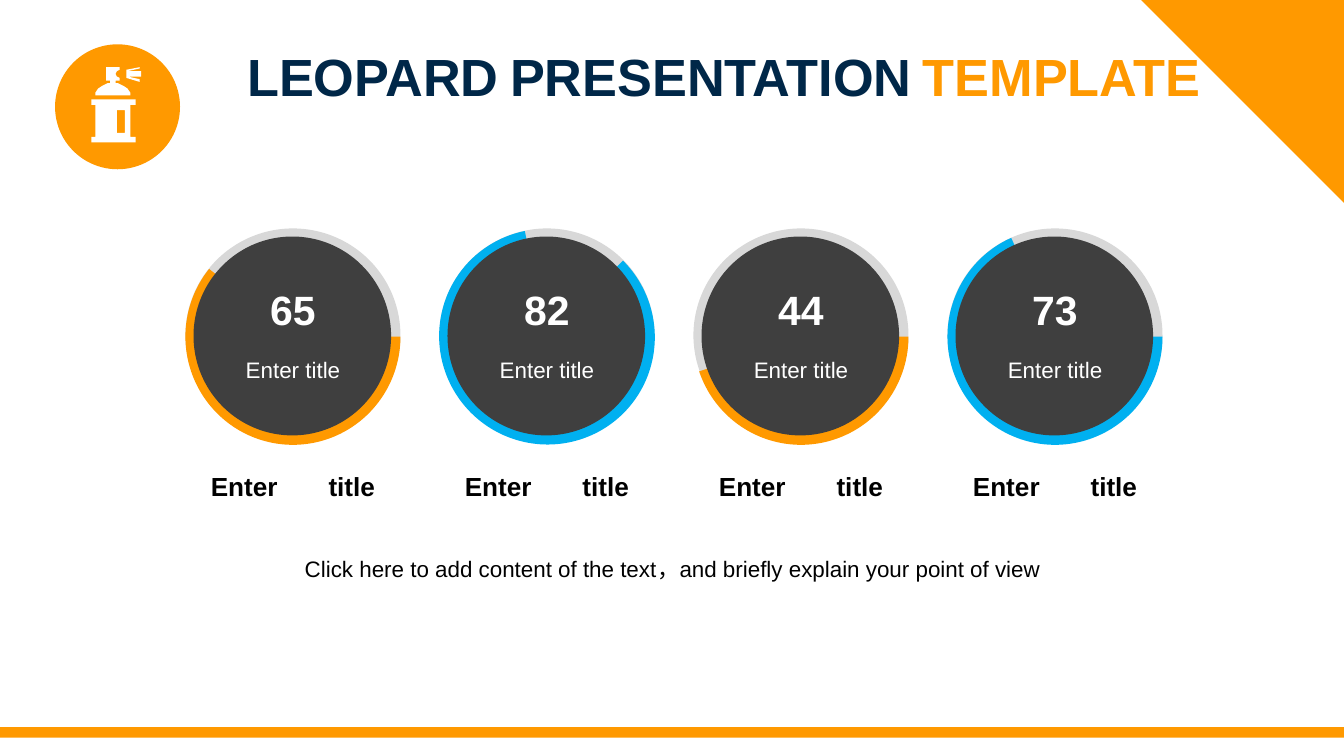
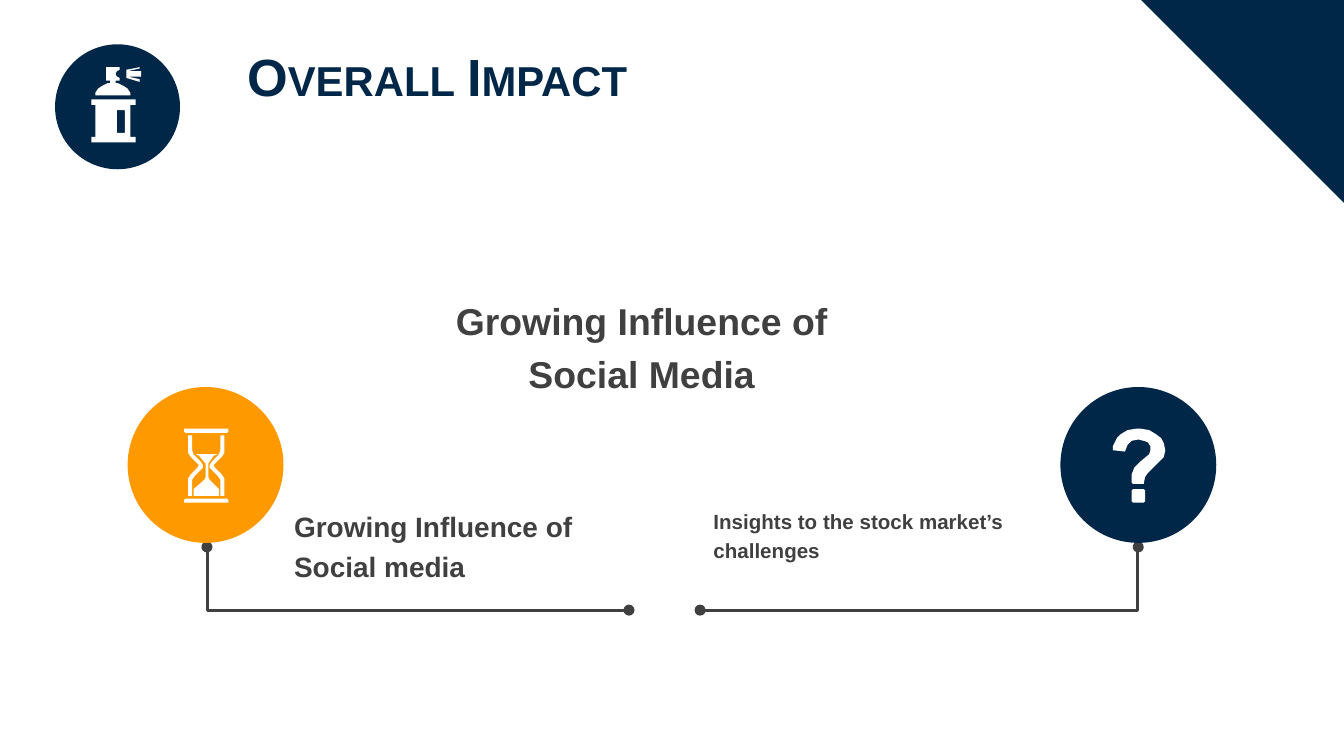
from lxml import etree
from pptx import Presentation
from pptx.dml.color import RGBColor as RGB
from pptx.enum.shapes import MSO_CONNECTOR as Link, MSO_SHAPE as Form
from pptx.enum.text import MSO_ANCHOR as Anchor, MSO_AUTO_SIZE as Auto, PP_ALIGN as Align
from pptx.oxml.ns import qn
from pptx.util import Inches, Pt

FONT = "Arial"
INK = {
    "gold": "FF9900", "navy": "002748", "blue": "00B0F0", "gray": "D8D8D8",
    "dark": "3F3F3F", "text": "404040", "white": "FFFFFF", "black": "000000",
}

# Icon outlines, in hundredths of an inch on the slide
SPRAY = [
    [(97, 78), (97, 102), (101, 102), (101, 106), (68, 106), (68, 102), (71, 102),
     (71, 78), (68, 78), (68, 74), (101, 74), (101, 78)],
    [(93, 82), (87, 82), (87, 99), (93, 99)],
    [(104, 59), (95, 57), (105, 57), (105, 53), (95, 53), (104, 51), (104, 50),
     (94, 52), (94, 58), (104, 61)],
    [(86, 60), (86, 62), (88, 62), (92, 64), (95, 66), (97, 69), (97, 71), (71, 71),
     (71, 69), (73, 66), (76, 64), (80, 62), (82, 62), (82, 60), (79, 60), (79, 50),
     (89, 50), (89, 52), (87, 53), (86, 55), (87, 57), (89, 58), (89, 60)],
]
CAP = [(137, 319), (170, 319), (170, 321), (169, 322), (138, 322), (137, 321)]
TUBE = [(143, 324), (143, 335), (144, 338), (149, 343), (151, 346), (151, 348),
        (145, 354), (143, 357), (143, 369), (140, 369), (140, 356), (142, 353),
        (147, 348), (148, 346), (142, 340), (140, 337), (140, 324)]
SAND = [(144, 369), (163, 369), (163, 364), (156, 357), (155, 355), (155, 345),
        (159, 339), (162, 338), (146, 338), (148, 339), (153, 345), (153, 355),
        (152, 357), (144, 364)]
QUERY = [
    [(851, 360), (843, 360), (842, 359), (842, 353), (844, 348), (849, 343),
     (855, 338), (856, 335), (856, 332), (854, 329), (851, 328), (847, 327),
     (842, 328), (839, 331), (837, 336), (828, 335), (828, 332), (831, 326),
     (834, 323), (839, 320), (845, 319), (849, 319), (855, 320), (860, 323),
     (864, 326), (866, 330), (867, 335), (866, 340), (863, 343), (854, 352),
     (852, 355)],
    [(843, 374), (842, 373), (842, 365), (843, 364), (851, 364), (852, 365),
     (852, 373), (851, 374)],
]


def paint(shape, ink):
    shape.shadow.inherit = False
    shape.fill.solid()
    shape.fill.fore_color.rgb = RGB.from_string(INK[ink])
    shape.line.fill.background()
    return shape


def shape(slide, form, x, y, w, h, ink):
    return paint(slide.shapes.add_shape(
        form, Inches(x), Inches(y), Inches(w), Inches(h)), ink)


def icon(slide, *loops):
    first, *rest = loops
    pen = slide.shapes.build_freeform(*first[0], scale=Inches(0.01))
    pen.add_line_segments(first[1:])
    for loop in rest:
        pen.move_to(*loop[0])
        pen.add_line_segments(loop[1:])
    paint(pen.convert_to_shape(), "white")


def pad(frame, side, top):
    frame.margin_left = frame.margin_right = Inches(side)
    frame.margin_top = frame.margin_bottom = Inches(top)
    frame.word_wrap = True


def style(font, size, ink, bold):
    font.name, font.size, font.bold = FONT, Pt(size), bold
    font.color.rgb = RGB.from_string(INK[ink])


def label(slide, words, x, y, w, h, size, ink, bold=False, align=Align.LEFT,
          space=1.0, side=0.1, top=0.05):
    box = slide.shapes.add_textbox(Inches(x), Inches(y), Inches(w), Inches(h))
    pad(box.text_frame, side, top)
    para = box.text_frame.paragraphs[0]
    para.text = words
    para.alignment, para.line_spacing = align, space
    style(para.font, size, ink, bold)
    return para


def header(slide, ink, parts, w, h):
    # Badge and corner
    shape(slide, Form.OVAL, 0.41, 0.33, 0.93, 0.93, ink)
    icon(slide, *SPRAY)
    shape(slide, Form.RIGHT_TRIANGLE, 8.48, -0.01, 1.54, 1.54, ink).rotation = 180
    # Title in small capitals
    title = slide.shapes.title
    title.left, title.top = Inches(1.78), Inches(0.3)
    title.width, title.height = Inches(w), Inches(h)
    frame = title.text_frame
    pad(frame, 0.06, 0.03)
    frame.auto_size, frame.vertical_anchor = Auto.NONE, Anchor.TOP
    para = frame.paragraphs[0]
    para.alignment = Align.LEFT
    for words, tint in parts:
        run = para.add_run()
        run.text = words
        style(run.font, 28, tint, True)
        run._r.get_or_add_rPr().set("cap", "small")


def dial(slide, x, value, sweep, ink, turn=0):
    shape(slide, Form.OVAL, x, 1.7, 1.6, 1.59, "gray")
    arc = shape(slide, Form.PIE, x, 1.7, 1.6, 1.61, ink)
    arc.adjustments[0], arc.adjustments[1] = 0, sweep * 0.6
    arc.rotation = turn
    shape(slide, Form.OVAL, x + 0.06, 1.76, 1.47, 1.48, "dark")
    label(slide, value, x + 0.43, 2.07, 0.74, 0.49, 21.9, "white", True, Align.CENTER)
    label(slide, "Enter title", x + 0.29, 2.6, 1.02, 0.5, 12, "white",
          align=Align.CENTER)
    # The break makes the justified line fill its box
    label(slide, "Enter title", x + 0.09, 3.45, 1.42, 0.57, 14, "black", True,
          Align.JUSTIFY).add_line_break()


def elbow(slide, x, end):
    line = slide.shapes.add_connector(
        Link.ELBOW, Inches(x), Inches(4.07), Inches(end), Inches(4.54))
    line.line.color.rgb = RGB.from_string(INK["text"])
    line.line.width = Pt(1.5)
    props = line._element.spPr
    guides = props.find(qn("a:prstGeom")).get_or_add_avLst()
    etree.SubElement(guides, qn("a:gd"), name="adj1", fmla="val 200")
    for tip in ("a:headEnd", "a:tailEnd"):
        etree.SubElement(props.find(qn("a:ln")), qn(tip), type="oval")
    etree.SubElement(props, qn("a:effectLst"))


def dials(slide):
    header(slide, "gold", [("LEOPARD PRESENTATION ", "navy"), ("TEMPLATE", "gold")],
           7.3, 1)
    rings = [("65", 218.95, "gold", 0), ("82", 303.16, "blue", 315),
             ("44", 161.13, "gold", 0), ("73", 246.1, "blue", 0)]
    for i, ring in enumerate(rings):
        dial(slide, 1.38 + 1.89 * i, *ring)
    label(slide, "Click here to add content of the text，and briefly explain your "
          "point of view", 1.38, 3.98, 7.25, 0.71, 12, "black",
          align=Align.CENTER, space=1.5)
    shape(slide, Form.RECTANGLE, -0.01, 5.41, 10.01, 0.08, "gold")


def impact(slide):
    header(slide, "navy", [("Overall Impact", "navy")], 5.98, 0.53)
    # Lines under the circles
    elbow(slide, 8.47, 5.21)
    elbow(slide, 1.54, 4.68)
    # Hourglass side
    label(slide, "Growing Influence of Social media", 2.09, 3.69, 2.6, 0.61, 15,
          "text", True, space=1.2)
    shape(slide, Form.OVAL, 0.95, 2.88, 1.16, 1.16, "gold")
    icon(slide, CAP, [(x, 693 - y) for x, y in CAP])
    icon(slide, TUBE, [(307 - x, y) for x, y in TUBE])
    icon(slide, SAND)
    # Question side
    label(slide, "Insights to the stock market’s challenges", 5.21, 3.7, 2.48, 0.61,
          11, "text", True, space=1.2)
    shape(slide, Form.OVAL, 7.89, 2.88, 1.16, 1.16, "navy")
    icon(slide, *QUERY)
    # Centre heading
    label(slide, "Growing Influence of Social Media", 2.97, 2.11, 3.61, 0.88, 20,
          "text", True, Align.CENTER, 1.2, 0.07, 0.04)


def main():
    deck = Presentation()
    # Widescreen, 16 to 9
    deck.slide_width = Inches(10)
    deck.slide_height = Inches(10) * 9 // 16
    for build in (dials, impact):
        build(deck.slides.add_slide(deck.slide_layouts[5]))
    deck.save("out.pptx")


if __name__ == "__main__":
    main()
